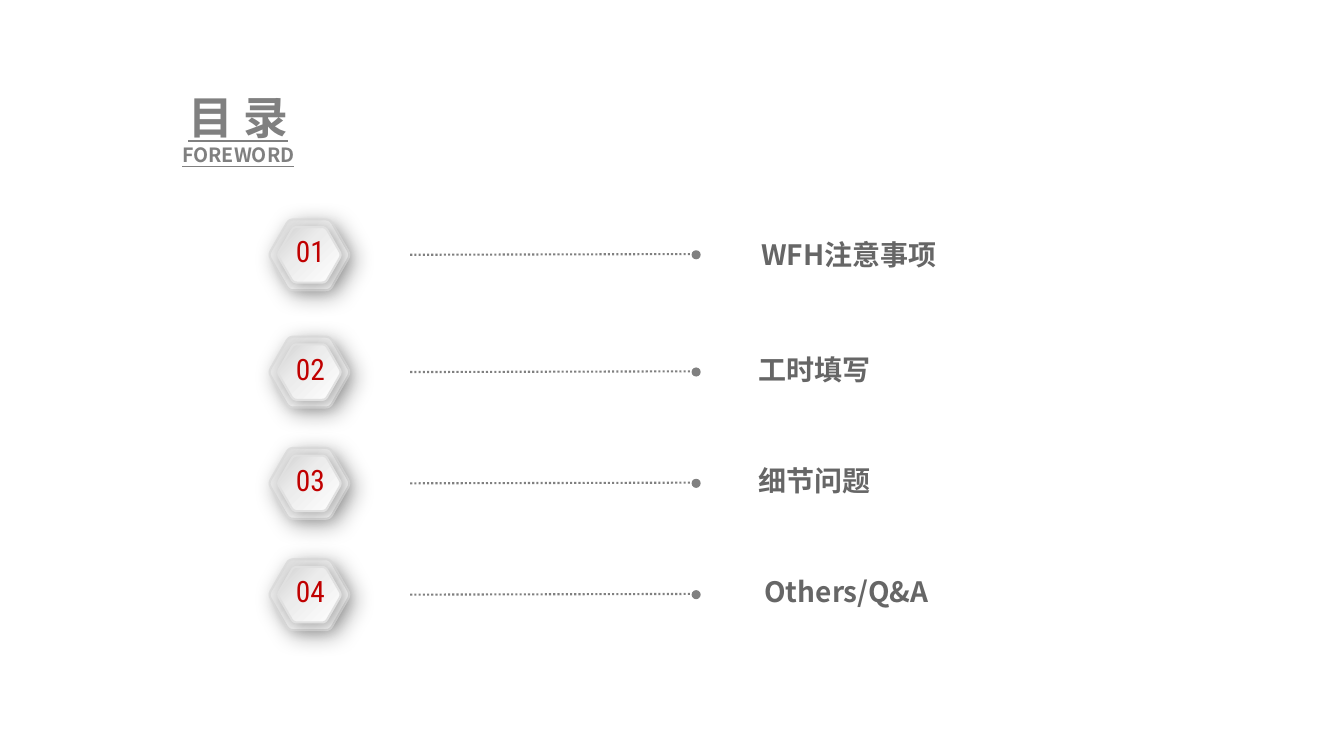
from dataclasses import dataclass
from math import cos, pi, sin

from lxml.etree import SubElement
from pptx import Presentation
from pptx.dml.color import RGBColor
from pptx.enum.dml import MSO_LINE_DASH_STYLE as Dash
from pptx.enum.shapes import MSO_CONNECTOR as Connector, MSO_SHAPE as Shape
from pptx.enum.text import MSO_AUTO_SIZE as AutoSize, PP_ALIGN as Align
from pptx.oxml import parse_xml
from pptx.oxml.ns import nsdecls, qn
from pptx.util import Pt


@dataclass(frozen=True)
class Theme:
    """Colours, fonts and type sizes of the slide."""

    grey: str = "808080"
    label: str = "666666"
    number: str = "C00000"
    rim: str = "E0E0E0"
    shadow: str = "000000"
    outer_fill: tuple = ((0, "FFFFFF"), (73, "ECECEC"), (100, "D9D9D9"))
    inner_fill: tuple = ((0, "FFFFFF"), (60, "ECECEC"), (100, "D1D1D1"))
    text_font: str = "Noto Sans CJK SC"
    number_font: str = "Roboto Condensed"
    title_size: float = 32
    subtitle_size: float = 14
    label_size: float = 20
    number_size: float = 21
    line_width: float = 1.5


THEME = Theme()
BADGE_X = 221
LEADER_LEFT, LEADER_RIGHT = 293, 494
DOT_SIZE = 6.5
ROWS = (
    ("01", "WFH注意事项", 182, 606.5, 166.5, 0),
    ("02", "工时填写", 265.75, 582, 101.5, 2),
    ("03", "细节问题", 345.25, 582, 101.5, 2),
    ("04", "Others/Q&A", 424.75, 604.75, 158.5, 2),
)


def add_text(shapes, lines, left, top, width, height, *, sizes, color,
             font=THEME.text_font, bold=False, underline=False):
    """Add a centred text box with one paragraph for each line."""
    box = shapes.add_textbox(Pt(left), Pt(top), Pt(width), Pt(height))
    frame = box.text_frame
    frame.word_wrap = True
    frame.auto_size = AutoSize.SHAPE_TO_FIT_TEXT
    for index, (line, size) in enumerate(zip(lines, sizes)):
        paragraph = frame.add_paragraph() if index else frame.paragraphs[0]
        paragraph.alignment = Align.CENTER
        run = paragraph.add_run()
        run.text = line
        run.font.size = Pt(size)
        run.font.name = font
        run.font.bold = bold
        run.font.underline = underline
        run.font.color.rgb = RGBColor.from_string(color)
        properties = run.font._element
        SubElement(properties, qn("a:ea")).set("typeface", font)


def rounded_hexagon(center_x, center_y, radius, cut=0.11, steps=4):
    """Return the outline points of a regular hexagon with rounded corners."""
    corners = [(center_x + radius * cos(k * pi / 3),
                center_y + radius * sin(k * pi / 3)) for k in range(6)]
    points = []
    for k, corner in enumerate(corners):
        before, after = corners[k - 1], corners[(k + 1) % 6]
        for step in range(steps + 1):
            t = step / steps
            toward_before, toward_after = cut * (1 - t) ** 2, cut * t ** 2
            points.append(tuple(
                Pt(c + toward_before * (b - c) + toward_after * (a - c))
                for b, c, a in zip(before, corner, after)))
    return points


def add_hexagon(shapes, center_y, radius, stops, *, alpha, blur, distance):
    """Add a gradient hexagon with a soft shadow to the lower right."""
    first, *rest = rounded_hexagon(BADGE_X, center_y, radius)
    builder = shapes.build_freeform(*first, scale=1.0)
    builder.add_line_segments(rest, close=True)
    shape = builder.convert_to_shape()
    shape.rotation = 180
    shape.line.color.rgb = RGBColor.from_string(THEME.rim)
    shape.line.width = Pt(THEME.line_width)
    shape.shadow.inherit = False
    properties = shape._element.spPr
    gradient_stops = "".join(
        f'<a:gs pos="{position * 1000}"><a:srgbClr val="{color}"/></a:gs>'
        for position, color in stops)
    properties.find(qn("a:ln")).addprevious(parse_xml(
        f'<a:gradFill {nsdecls("a")} rotWithShape="1"><a:gsLst>{gradient_stops}'
        '</a:gsLst><a:lin ang="2700000" scaled="0"/></a:gradFill>'))
    properties.find(qn("a:effectLst")).append(parse_xml(
        f'<a:outerShdw {nsdecls("a")} blurRad="{Pt(blur)}" dist="{Pt(distance)}" '
        'dir="2700000" algn="tl" rotWithShape="0">'
        f'<a:srgbClr val="{THEME.shadow}"><a:alpha val="{alpha * 1000}"/>'
        '</a:srgbClr></a:outerShdw>'))


def add_badge(slide, number, center_y):
    """Add a raised hexagon badge holding a number."""
    shapes = slide.shapes.add_group_shape().shapes
    add_hexagon(shapes, center_y, 29.25, THEME.outer_fill,
                alpha=32, blur=16, distance=5)
    add_hexagon(shapes, center_y, 22.9, THEME.inner_fill,
                alpha=33, blur=12, distance=3)
    add_text(shapes, [number], BADGE_X + 0.75 - 31, center_y - 18.75, 62, 32.5,
             sizes=[THEME.number_size], color=THEME.number,
             font=THEME.number_font)


def add_leader(slide, center_y):
    """Add a dotted line that ends in a round dot."""
    shapes = slide.shapes.add_group_shape().shapes
    line = shapes.add_connector(Connector.STRAIGHT, Pt(LEADER_LEFT), Pt(center_y),
                                Pt(LEADER_RIGHT), Pt(center_y - 0.5))
    line.line.color.rgb = RGBColor.from_string(THEME.grey)
    line.line.width = Pt(THEME.line_width)
    line.line.dash_style = Dash.ROUND_DOT
    SubElement(line._element.spPr, qn("a:effectLst"))
    dot = shapes.add_shape(Shape.OVAL, Pt(LEADER_RIGHT),
                           Pt(center_y - DOT_SIZE / 2), Pt(DOT_SIZE), Pt(DOT_SIZE))
    dot.shadow.inherit = False
    dot.fill.solid()
    dot.fill.fore_color.rgb = RGBColor.from_string(THEME.grey)
    dot.line.fill.background()


def main():
    """Build the contents slide and save it."""
    presentation = Presentation()
    presentation.slide_width, presentation.slide_height = Pt(960), Pt(540)
    slide = presentation.slides.add_slide(presentation.slide_layouts[6])
    add_text(slide.shapes, ["目 录", "FOREWORD"], 100, 60.5, 140.5, 63.5,
             sizes=[THEME.title_size, THEME.subtitle_size], color=THEME.grey,
             bold=True, underline=True)
    for number, label, center_y, label_x, label_width, lift in ROWS:
        add_leader(slide, center_y)
        add_text(slide.shapes, [label], label_x - label_width / 2,
                 center_y - 15.75 - lift, label_width, 31.5,
                 sizes=[THEME.label_size], color=THEME.label, bold=True)
        add_badge(slide, number, center_y)
    presentation.save("out.pptx")


if __name__ == "__main__":
    main()
